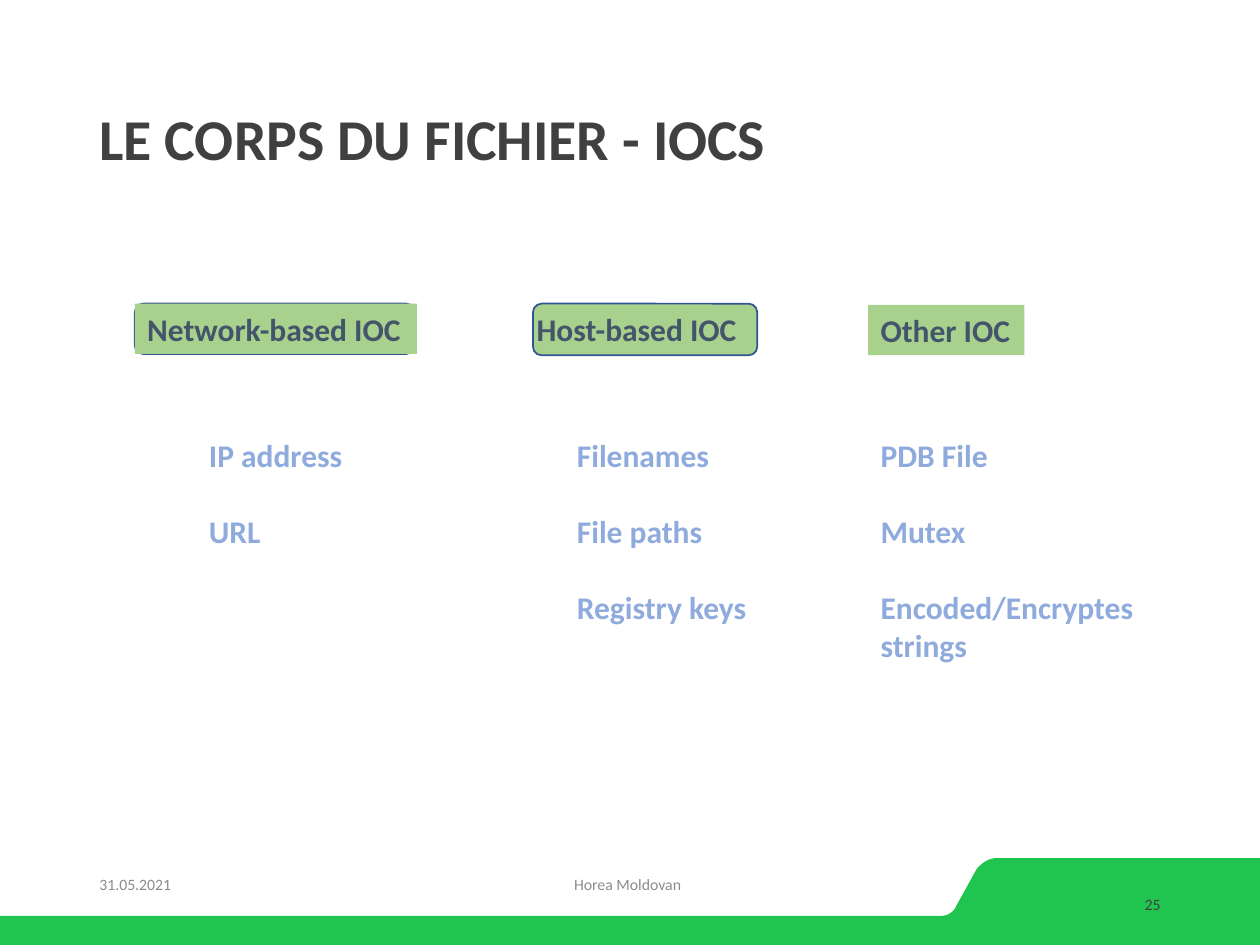
"""Build the slide on network, host and other IOCs."""
from pptx import Presentation
from pptx.dml.color import RGBColor as RGB
from pptx.enum.shapes import MSO_SHAPE as SHAPE
from pptx.enum.text import MSO_ANCHOR as ANCHOR, PP_ALIGN as ALIGN
from pptx.util import Inches, Pt


def paint(part, color):
    part.solid()
    part.fore_color.rgb = RGB.from_string(color)


def write(shape, lines, size, color, bold=False, align=ALIGN.LEFT,
          wrap=False, anchor=ANCHOR.TOP, gap=0, space=1):
    frame = shape.text_frame
    frame.word_wrap = wrap
    frame.vertical_anchor = anchor
    for i, line in enumerate(lines):
        para = frame.paragraphs[0] if i == 0 else frame.add_paragraph()
        para.alignment = align
        para.line_spacing = space
        para.space_before = Pt(gap if i and line != "strings" else 0)
        run = para.add_run()
        run.text = line
        look = {"name": "Calibri", "size": Pt(size), "bold": bold}
        for key, value in look.items():
            setattr(run.font, key, value)
        paint(run.font.fill, color)


deck = Presentation()
deck.slide_width, deck.slide_height = Inches(10), Inches(7.5)
slide = deck.slides.add_slide(deck.slide_layouts[6])
shapes = slide.shapes

curves = [
    [(7.91, 6.81), (7.85, 6.81), (7.79, 6.85), (7.75, 6.9)],
    [(7.59, 7.19), (7.57, 7.24), (7.52, 7.27), (7.46, 7.27)],
]
edge = []
for curve in curves:
    for step in range(13):
        t = step / 12
        parts = ((1 - t) ** 3, 3 * t * (1 - t) ** 2, 3 * t * t * (1 - t), t ** 3)
        edge.append([sum(w * p[k] for w, p in zip(parts, curve)) for k in (0, 1)])
edge += [(0, 7.27), (0, 7.5), (10, 7.5), (10, 6.81)]
points = [(Inches(x), Inches(y)) for x, y in edge]
path = shapes.build_freeform(*points[0])
path.add_line_segments(points[1:], close=True)
band = path.convert_to_shape()
band.shadow.inherit = False
paint(band.fill, "20C54F")
band.line.fill.background()

boxes = [
    (SHAPE.ROUNDED_RECTANGLE, 4.23, 2.41, 1.78, 0.41, "A9D18E", "325491", ""),
    (SHAPE.ROUNDED_RECTANGLE, 1.07, 2.41, 2.22, 0.4, "4472C4", "325491", ""),
    (SHAPE.RECTANGLE, 1.07, 2.41, 2.24, 0.4, "A9D18E", None, "Network-based IOC"),
    (SHAPE.RECTANGLE, 6.89, 2.42, 1.24, 0.4, "A9D18E", None, "Other IOC"),
]
for kind, x, y, w, h, fill, line, text in boxes:
    box = shapes.add_shape(kind, Inches(x), Inches(y), Inches(w), Inches(h))
    box.shadow.inherit = False
    paint(box.fill, fill)
    if line:
        paint(box.line.fill, line)
        box.line.width = Pt(1)
    else:
        box.line.fill.background()
    if text:
        write(box, [text], 18, "44546A", True)

head = {"size": 18, "color": "44546A", "bold": True}
item = {"size": 18, "color": "8FAADC", "bold": True, "gap": 22}
foot = {"size": 9, "color": "8C8C8C", "wrap": True, "anchor": ANCHOR.MIDDLE}
title = {**foot, "size": 33, "color": "404040", "bold": True, "space": 0.9}
texts = [
    (0.69, 0.4, 8.62, 1.45, ["LE CORPS DU FICHIER - IOCS"], title),
    (4.16, 2.41, 1.81, 0.4, ["Host-based IOC"], head),
    (1.56, 3.41, 1.27, 1.01, ["IP address", "URL"], item),
    (4.48, 3.41, 1.55, 1.62, ["Filenames", "File paths", "Registry keys"], item),
    (6.89, 3.41, 2.22, 2.22,
     ["PDB File", "Mutex", "Encoded/Encryptes", "strings"], item),
    (0.69, 6.82, 2.25, 0.4, ["31.05.2021"], foot),
    (3.29, 6.82, 3.38, 0.4, ["Horea Moldovan"], {**foot, "align": ALIGN.CENTER}),
    (7.06, 6.98, 2.25, 0.4, ["25"],
     {**foot, "color": "404040", "align": ALIGN.RIGHT}),
]
for x, y, w, h, lines, style in texts:
    box = shapes.add_textbox(Inches(x), Inches(y), Inches(w), Inches(h))
    write(box, lines, **style)

deck.save("out.pptx")
